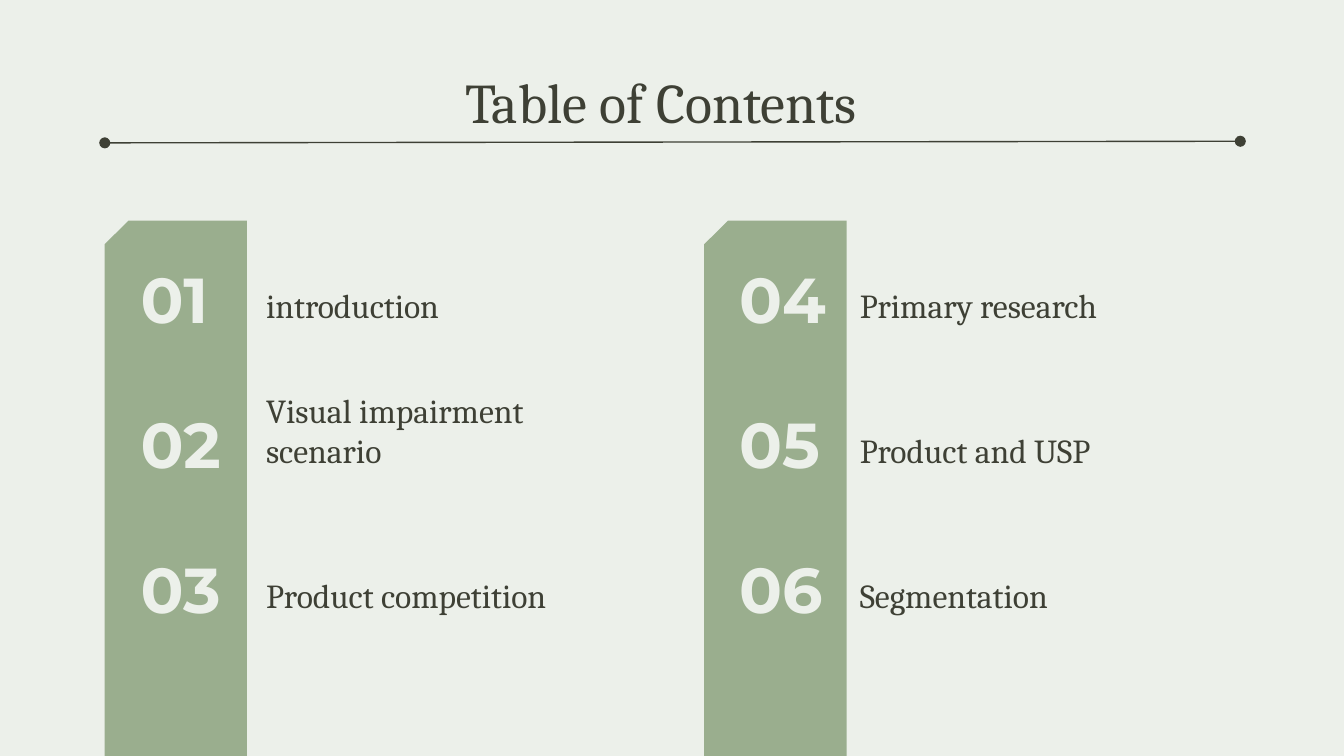
from dataclasses import dataclass

from lxml import etree
from pptx import Presentation
from pptx.dml.color import RGBColor
from pptx.enum.shapes import MSO_CONNECTOR, MSO_SHAPE
from pptx.enum.text import MSO_ANCHOR, PP_ALIGN
from pptx.oxml.ns import qn
from pptx.slide import Slide
from pptx.util import Cm, Pt

LINE = MSO_CONNECTOR.STRAIGHT
SNIPPED = MSO_SHAPE.SNIP_1_RECTANGLE
TOP, BOTTOM = MSO_ANCHOR.TOP, MSO_ANCHOR.BOTTOM
LEFT, CENTER = PP_ALIGN.LEFT, PP_ALIGN.CENTER

PALE, GREEN, DARK = "ECF0EA", "9AAE8E", "3E4035"
SLIDE_WIDTH, SLIDE_HEIGHT = 25.4, 14.29
BAR_TOP, BAR_WIDTH = 4.17, 2.69
FIRST_ROW, ROW_STEP = 4.77, 2.74


@dataclass(frozen=True)
class Style:
    font: str
    size: float
    color: str
    bold: bool = False
    anchor: MSO_ANCHOR = BOTTOM
    align: PP_ALIGN = LEFT


@dataclass(frozen=True)
class Column:
    bar_left: float
    number_left: float
    label_left: float
    first_number: int
    topics: tuple[str, ...]


TITLE = Style("Cambria", 30, DARK, anchor=TOP, align=CENTER)
NUMBER = Style("Montserrat", 34, PALE, bold=True)
LABEL = Style("Cambria", 18, DARK)

COLUMNS = (
    Column(1.98, 2.41, 4.78, 1,
           ("introduction", "Visual impairment scenario", "Product competition")),
    Column(13.31, 13.72, 16.0, 4,
           ("Primary research", "Product and USP", "Segmentation")),
)


def rgb(color: str) -> RGBColor:
    return RGBColor.from_string(color)


def add_text(slide: Slide, text: str, left: float, top: float,
             width: float, height: float, style: Style) -> None:
    box = slide.shapes.add_textbox(Cm(left), Cm(top), Cm(width), Cm(height))
    frame = box.text_frame
    frame.word_wrap = True
    frame.vertical_anchor = style.anchor
    frame.margin_left = frame.margin_right = Cm(0.25)
    frame.margin_top = frame.margin_bottom = Cm(0.25)
    paragraph = frame.paragraphs[0]
    paragraph.text = text
    paragraph.alignment = style.align
    paragraph.font.name = style.font
    paragraph.font.size = Pt(style.size)
    paragraph.font.bold = style.bold
    paragraph.font.color.rgb = rgb(style.color)


def add_bar(slide: Slide, left: float) -> None:
    """Draw a bar to the slide's bottom edge, its upper left corner cut off."""
    bar = slide.shapes.add_shape(SNIPPED, Cm(left), Cm(BAR_TOP), Cm(BAR_WIDTH),
                                 Cm(SLIDE_HEIGHT - BAR_TOP))
    bar.adjustments[0] = 0.167
    bar.shadow.inherit = False
    bar.fill.solid()
    bar.fill.fore_color.rgb = rgb(GREEN)
    bar.line.fill.background()
    bar._element.spPr.find(qn("a:xfrm")).set("flipH", "1")


def add_title_rule(slide: Slide) -> None:
    rule = slide.shapes.add_connector(LINE, Cm(1.98), Cm(2.7), Cm(23.44), Cm(2.67))
    rule.line.color.rgb = rgb(DARK)
    rule.line.width = Pt(0.75)
    properties = rule._element.spPr
    outline = properties.find(qn("a:ln"))
    for end in ("a:headEnd", "a:tailEnd"):
        etree.SubElement(outline, qn(end), type="oval")
    etree.SubElement(properties, qn("a:effectLst"))


def add_column(slide: Slide, column: Column) -> None:
    add_bar(slide, column.bar_left)
    for row, topic in enumerate(column.topics):
        top = FIRST_ROW + row * ROW_STEP
        add_text(slide, topic, column.label_left, top, 7.65, 1.63, LABEL)
        add_text(slide, f"{column.first_number + row:02d}",
                 column.number_left, top, 2.29, 1.83, NUMBER)


def main() -> None:
    presentation = Presentation()
    presentation.slide_width = Cm(SLIDE_WIDTH)
    presentation.slide_height = Cm(SLIDE_HEIGHT)
    slide = presentation.slides.add_slide(presentation.slide_layouts[6])
    slide.background.fill.solid()
    slide.background.fill.fore_color.rgb = rgb(PALE)

    add_text(slide, "Table of Contents", 1.32, 1.02, 22.35, 2.54, TITLE)
    for column in COLUMNS:
        add_column(slide, column)
    add_title_rule(slide)
    presentation.save("out.pptx")


if __name__ == "__main__":
    main()
